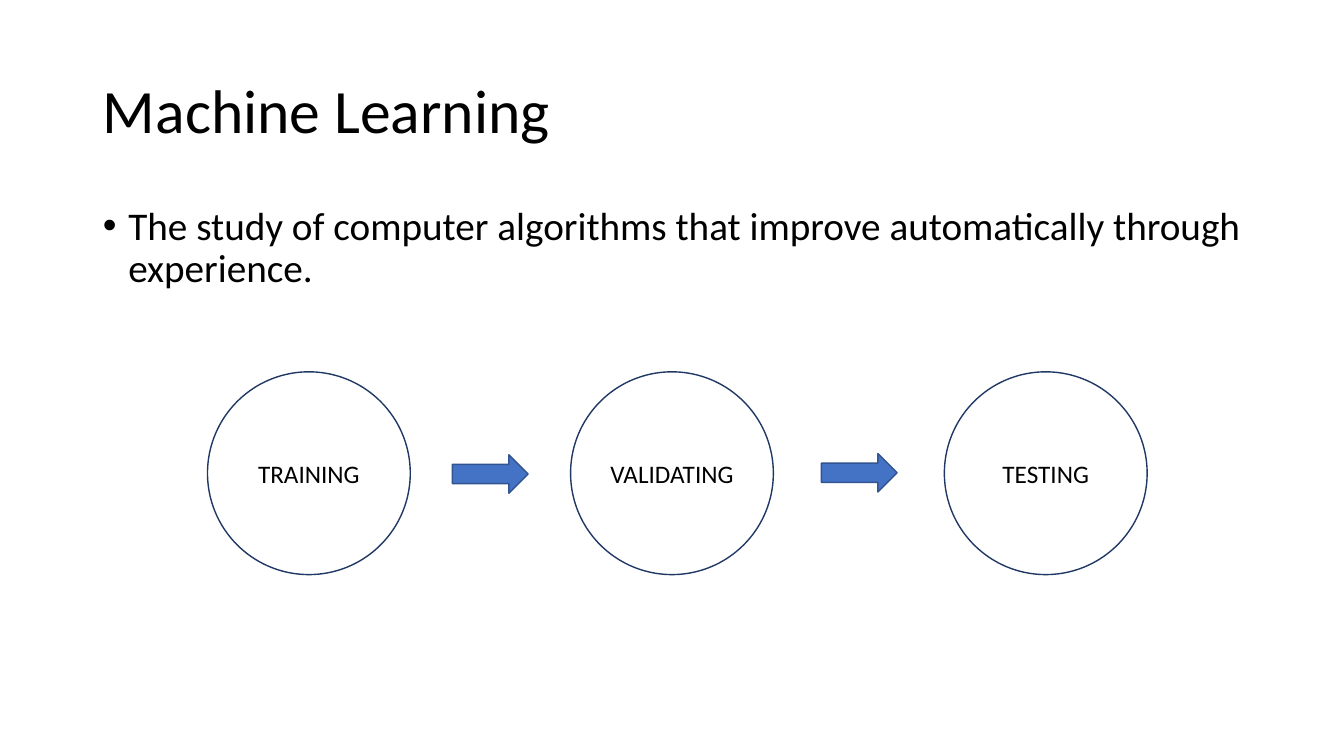
from pptx import Presentation
from pptx.dml.color import RGBColor
from pptx.enum.shapes import MSO_SHAPE
from pptx.enum.text import MSO_ANCHOR, MSO_AUTO_SIZE, PP_ALIGN
from pptx.util import Cm, Pt

COLORS = {"text": "000000", "circle line": "203864",
          "arrow": "4472C4", "arrow line": "325491"}
FONT = "Calibri"
MARGIN, CONTENT_WIDTH = 2.34, 29.21
CIRCLE_SIZE, CIRCLE_TOP = 5.11, 9.37
ARROW_WIDTH, ARROW_HEIGHT = 1.91, 0.97
STAGES = [("TRAINING", 5.23), ("VALIDATING", 14.38), ("TESTING", 23.8)]
ARROWS = [(11.4, 11.46), (20.7, 11.43)]


def color(name):
    """Return the named colour."""
    return RGBColor.from_string(COLORS[name])


def write(shape, text, size, align, anchor):
    """Put one formatted paragraph into a shape and return it."""
    frame = shape.text_frame
    frame.text = text
    frame.auto_size = MSO_AUTO_SIZE.NONE
    frame.vertical_anchor = anchor
    paragraph = frame.paragraphs[0]
    paragraph.alignment = align
    paragraph.font.name = FONT
    paragraph.font.size = Pt(size)
    paragraph.font.color.rgb = color("text")
    return paragraph


def fill_placeholder(box, text, size, top, height, anchor):
    """Move a placeholder to the content column and write its text."""
    box.left, box.top = Cm(MARGIN), Cm(top)
    box.width, box.height = Cm(CONTENT_WIDTH), Cm(height)
    paragraph = write(box, text, size, PP_ALIGN.LEFT, anchor)
    paragraph.line_spacing = 0.9
    return paragraph


def add_figure(page, kind, left, top, width, height, line):
    """Add a preset shape with a thin outline and no shadow."""
    shape = page.shapes.add_shape(kind, Cm(left), Cm(top), Cm(width), Cm(height))
    shape.shadow.inherit = False
    shape.line.color.rgb = color(line)
    shape.line.width = Pt(1)
    return shape


def add_stage(page, label, left):
    """Add an unfilled circle with a centred label."""
    circle = add_figure(page, MSO_SHAPE.OVAL, left, CIRCLE_TOP,
                        CIRCLE_SIZE, CIRCLE_SIZE, "circle line")
    circle.fill.background()
    write(circle, label, 18, PP_ALIGN.CENTER, MSO_ANCHOR.MIDDLE)
    circle.text_frame.word_wrap = False


def add_arrow(page, left, top):
    """Add a block arrow between two stages."""
    arrow = add_figure(page, MSO_SHAPE.RIGHT_ARROW, left, top,
                       ARROW_WIDTH, ARROW_HEIGHT, "arrow line")
    arrow.fill.solid()
    arrow.fill.fore_color.rgb = color("arrow")


def main():
    """Build the slide and save it."""
    deck = Presentation()
    deck.slide_width, deck.slide_height = Cm(33.87), Cm(19.05)
    page = deck.slides.add_slide(deck.slide_layouts[1])

    fill_placeholder(page.shapes.title, "Machine Learning", 44,
                     1.02, 3.68, MSO_ANCHOR.MIDDLE)
    bullet = fill_placeholder(
        page.placeholders[1],
        "The study of computer algorithms that improve automatically "
        "through experience.", 28, 5.08, 12.09, MSO_ANCHOR.TOP)
    bullet.space_before = Pt(10)
    properties = bullet._p.get_or_add_pPr()
    properties.set("marL", str(Cm(0.64)))
    properties.set("indent", str(Cm(-0.64)))

    for label, left in STAGES:
        add_stage(page, label, left)
    for left, top in ARROWS:
        add_arrow(page, left, top)
    deck.save("out.pptx")


main()
